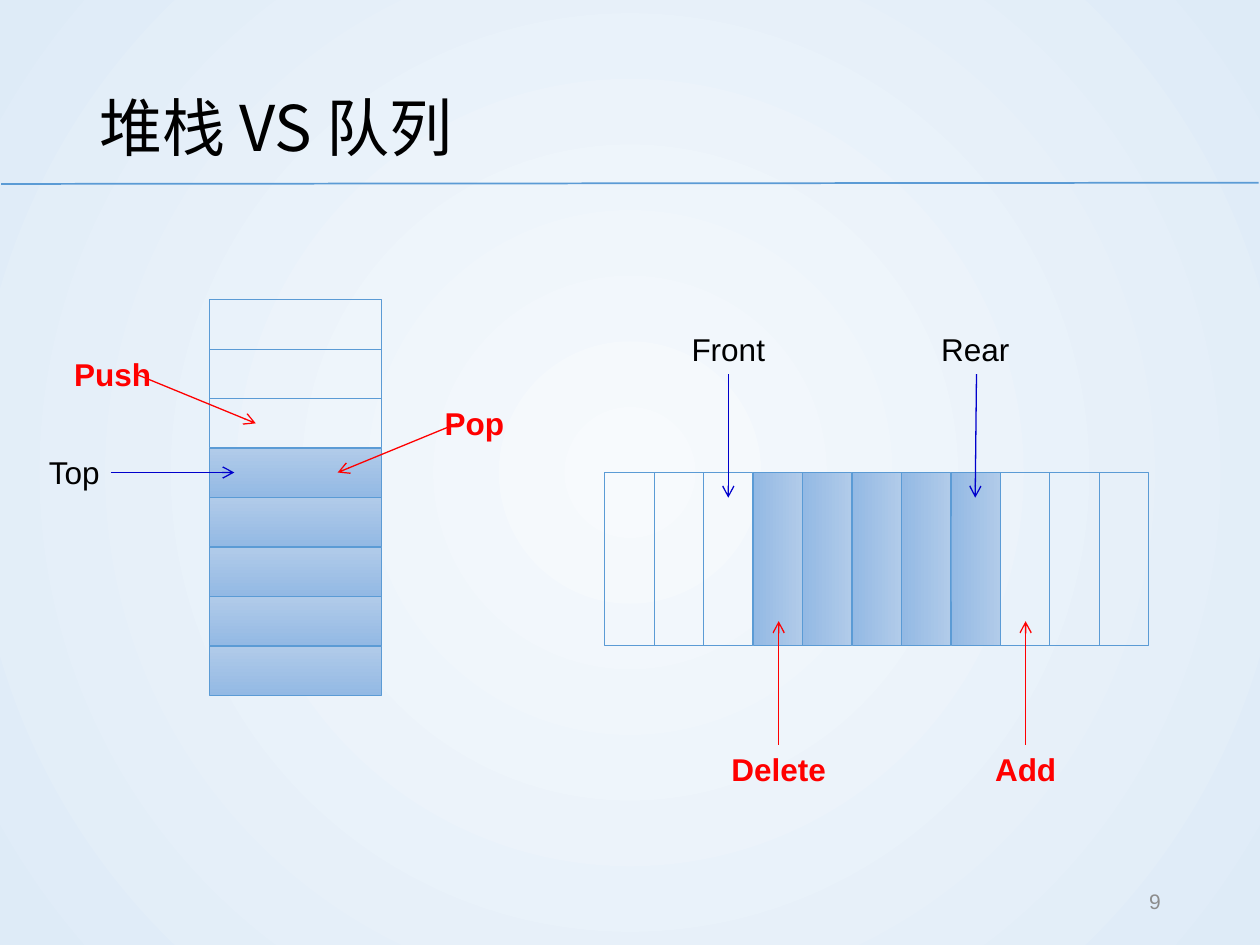
import pptx
import pptx.util
import pptx.dml.color
import pptx.enum.shapes
import pptx.enum.text
import pptx.oxml
import pptx.oxml.ns
from pptx.util import Inches

BLACK = pptx.dml.color.RGBColor(0x00, 0x00, 0x00)
GRAY = pptx.dml.color.RGBColor(0x8C, 0x8C, 0x8C)
RED = pptx.dml.color.RGBColor(0xFF, 0x00, 0x00)
NAVY = pptx.dml.color.RGBColor(0x00, 0x00, 0xCC)
BLUE = pptx.dml.color.RGBColor(0x5B, 0x9B, 0xD5)
CELL_LIGHT = pptx.dml.color.RGBColor(0xB1, 0xCB, 0xE9)
CELL_DARK = pptx.dml.color.RGBColor(0x93, 0xB9, 0xE4)
PAGE_CENTER = pptx.dml.color.RGBColor(0xF7, 0xFA, 0xFD)
PAGE_EDGE = pptx.dml.color.RGBColor(0xDE, 0xEB, 0xF7)

LEFT = pptx.enum.text.PP_ALIGN.LEFT
CENTER = pptx.enum.text.PP_ALIGN.CENTER
RIGHT = pptx.enum.text.PP_ALIGN.RIGHT
TOP = pptx.enum.text.MSO_ANCHOR.TOP
MIDDLE = pptx.enum.text.MSO_ANCHOR.MIDDLE
NS = pptx.oxml.ns.nsdecls("a")

prs = pptx.Presentation()
prs.slide_width, prs.slide_height = Inches(10), Inches(7.5)
slide = prs.slides.add_slide(prs.slide_layouts[6])


def add_text(text, box, align=LEFT, anchor=TOP, inset=0.1, **font_values):
    frame = slide.shapes.add_textbox(*map(Inches, box)).text_frame
    frame.word_wrap = True
    frame.vertical_anchor = anchor
    frame.margin_left = frame.margin_right = Inches(inset)
    paragraph = frame.paragraphs[0]
    paragraph.alignment = align
    run = paragraph.add_run()
    run.text = text
    run.font.color.rgb = font_values.pop("color", BLACK)
    for name, value in {"name": "Arial", "size": pptx.util.Pt(18), **font_values}.items():
        setattr(run.font, name, value)
    return run


def add_line(start, end, color, width, arrow=True):
    line = slide.shapes.add_connector(
        pptx.enum.shapes.MSO_CONNECTOR.STRAIGHT, *map(Inches, (*start, *end)))
    line.line.color.rgb = color
    line.line.width = pptx.util.Pt(width)
    properties = line.element.spPr
    if arrow:
        properties.get_or_add_ln().append(
            pptx.oxml.parse_xml(f'<a:tailEnd {NS} type="arrow"/>'))
    properties.append(pptx.oxml.parse_xml(f"<a:effectLst {NS}/>"))


# Background: radial gradient from the centre
background = slide.background.fill
background.gradient()
for stop, color in zip(background.gradient_stops, (PAGE_CENTER, PAGE_EDGE)):
    stop.color.rgb = color
linear = slide.background.fill._xPr.find(".//" + pptx.oxml.ns.qn("a:lin"))
linear.getparent().replace(linear, pptx.oxml.parse_xml(
    f'<a:path {NS} path="circle">'
    '<a:fillToRect l="50000" t="50000" r="50000" b="50000"/></a:path>'))

# Title, rule and page number
add_line((0.01, 1.46), (9.99, 1.45), BLUE, 1, arrow=False)
title = add_text("堆栈 VS 队列", (0.69, 0.4, 8.62, 1.08), anchor=MIDDLE,
                 name="Noto Sans CJK SC", size=pptx.util.Pt(36))
title.font._element.append(
    pptx.oxml.parse_xml(f'<a:ea {NS} typeface="Noto Sans CJK SC"/>'))
slide.shapes[-1].text_frame.paragraphs[0].line_spacing = 1.2
add_text("9", (7.06, 6.95, 2.25, 0.4), RIGHT, MIDDLE, size=pptx.util.Pt(12), color=GRAY)

# Cells: 8 stacked upright, 11 queued side by side as quarter-turned cells
CELL_W, CELL_H, PITCH = 1.37, 0.39, 0.3925
stack_cells = [(1.66, 2.38 + i * PITCH, 0, i >= 3) for i in range(8)]
queue_cells = [(4.31 + i * PITCH, 4.24, 90, 3 <= i <= 7) for i in range(11)]
for left, top, rotation, occupied in stack_cells + queue_cells:
    cell = slide.shapes.add_shape(
        pptx.enum.shapes.MSO_SHAPE.RECTANGLE,
        *map(Inches, (left, top, CELL_W, CELL_H)))
    cell.rotation = rotation
    cell.shadow.inherit = False
    cell.line.color.rgb = BLUE
    cell.line.width = pptx.util.Pt(0.5)
    if occupied:
        cell.fill.gradient()
        cell.fill.gradient_angle = 270
        for stop, color in zip(cell.fill.gradient_stops, (CELL_LIGHT, CELL_DARK)):
            stop.color.rgb = color
    else:
        cell.fill.background()

# Pointers (navy arrow, black label) and operations (red arrow, bold red label)
markers = [
    ("Top", (0.29, 3.55, 0.78), LEFT, False, (0.88, 3.75), (1.86, 3.75)),
    ("Push", (0.49, 2.77, 0.95), LEFT, True, (1.08, 2.97), (2.03, 3.36)),
    ("Pop", (3.43, 3.16, 0.78), LEFT, True, (3.63, 3.36), (2.68, 3.75)),
    ("Front", (5.39, 2.57, 0.78), CENTER, False, (5.78, 2.97), (5.78, 3.95)),
    ("Rear", (7.35, 2.57, 0.78), CENTER, False, (7.75, 2.97), (7.74, 3.95)),
    ("Delete", (5.59, 5.9, 1.18), CENTER, True, (6.18, 5.91), (6.18, 4.93)),
    ("Add", (7.55, 5.9, 1.18), CENTER, True, (8.14, 5.91), (8.14, 4.93)),
]
for label, box, align, operation, start, end in markers:
    add_line(start, end, RED if operation else NAVY, 0.75)
    add_text(label, (*box, 0.4), align, inset=0.1 if align == LEFT else 0.05,
             bold=operation, color=RED if operation else BLACK)

prs.save("out.pptx")
